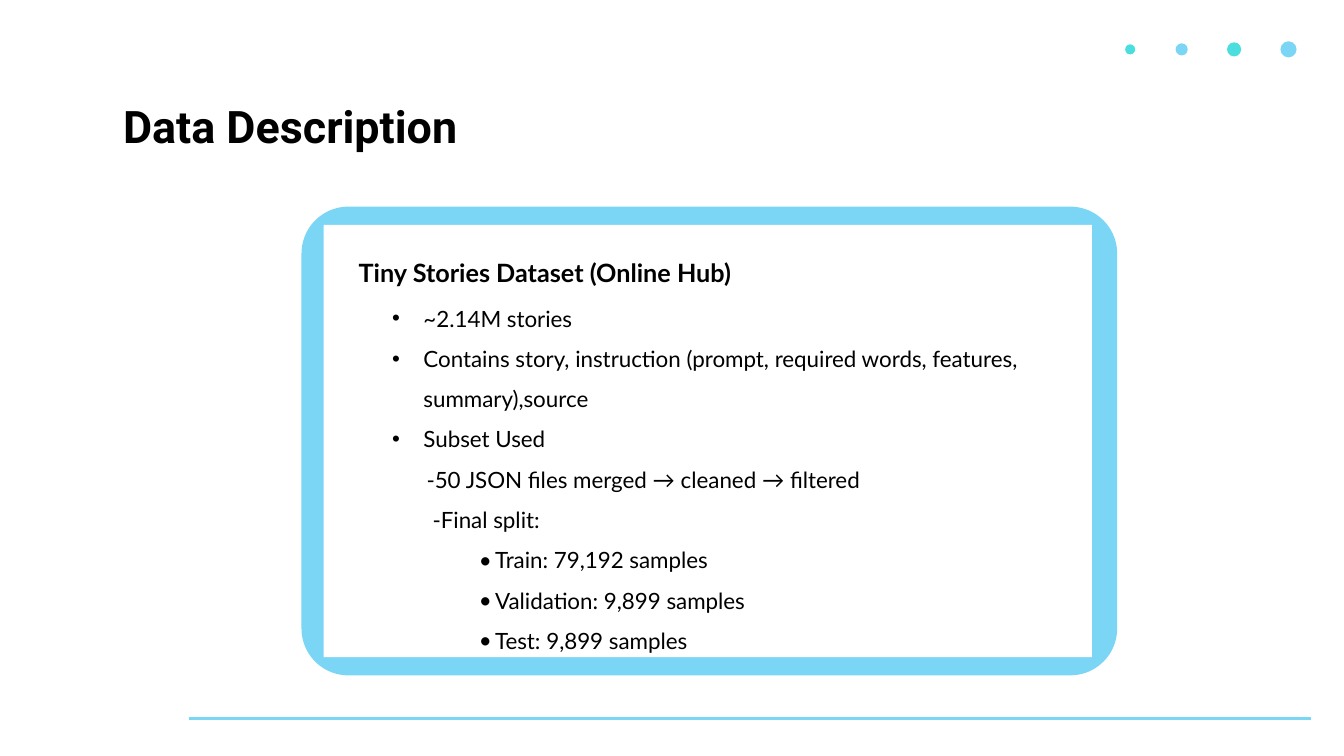
from dataclasses import dataclass

import pptx
import pptx.dml.color
import pptx.enum.shapes
import pptx.enum.text
import pptx.oxml
import pptx.oxml.ns
import pptx.util
from pptx.util import Inches

SHAPES = pptx.enum.shapes.MSO_SHAPE
TEXT = pptx.enum.text


@dataclass(frozen=True)
class Theme:
    sky: str = "7BD5F5"
    teal: str = "4ADEDE"
    paper: str = "FFFFFF"
    ink: str = "000000"
    title_font: str = "Roboto"
    body_font: str = "Lato"
    bullet_font: str = "Arial"
    title_size: int = 32
    heading_size: int = 18
    body_size: int = 16
    rule_width: float = 2


THEME = Theme()

# Text, left margin, first-line indent, bullet font (None for no bullet)
DETAILS = [
    ("~2.14M stories", 0.31, -0.31, THEME.bullet_font),
    ("Contains story, instruction (prompt, required words, features, summary),source",
     0.31, -0.31, THEME.bullet_font),
    ("Subset Used", 0.31, -0.31, THEME.bullet_font),
    ("-50 JSON files merged → cleaned → filtered", 0.34, 0, None),
    ("-Final split:", 0.4, 0, None),
    ("Train: 79,192 samples", 1.02, -0.16, THEME.body_font),
    ("Validation: 9,899 samples", 1.02, -0.16, THEME.body_font),
    ("Test: 9,899 samples", 1.02, -0.16, THEME.body_font),
]

# Centre x, diameter, colour
DOTS = [
    (11.21, 0.1, THEME.teal),
    (11.72, 0.12, THEME.sky),
    (12.24, 0.14, THEME.teal),
    (12.78, 0.16, THEME.sky),
]
DOT_CENTRE_Y = 0.49


def rgb(colour):
    return pptx.dml.color.RGBColor.from_string(colour)


def add_filled(slide, preset, left, top, width, height, colour):
    shape = slide.shapes.add_shape(
        preset, Inches(left), Inches(top), Inches(width), Inches(height))
    shape.shadow.inherit = False
    shape.fill.solid()
    shape.fill.fore_color.rgb = rgb(colour)
    shape.line.fill.background()
    return shape


def add_rule(slide, start, end, y):
    rule = slide.shapes.add_connector(
        pptx.enum.shapes.MSO_CONNECTOR.STRAIGHT,
        Inches(start), Inches(y), Inches(end), Inches(y))
    rule.line.color.rgb = rgb(THEME.sky)
    rule.line.width = pptx.util.Pt(THEME.rule_width)
    properties = rule._element.spPr
    properties.append(pptx.oxml.parse_xml(
        f"<a:effectLst {pptx.oxml.ns.nsdecls('a')}/>"))


def place(shape, left, top, width, height):
    position = {"left": left, "top": top, "width": width, "height": height}
    for name, value in position.items():
        setattr(shape, name, Inches(value))


def format_frame(frame, anchor):
    settings = {"word_wrap": True, "vertical_anchor": anchor,
                "auto_size": TEXT.MSO_AUTO_SIZE.NONE}
    for name, value in settings.items():
        setattr(frame, name, value)


def write(paragraph, text, font, size, bold=False, spacing=1.0):
    layout = {"alignment": TEXT.PP_ALIGN.LEFT, "line_spacing": spacing,
              "space_before": pptx.util.Pt(0)}
    for name, value in layout.items():
        setattr(paragraph, name, value)
    run = paragraph.add_run()
    run.text = text
    style = {"name": font, "size": pptx.util.Pt(size), "bold": bold}
    for name, value in style.items():
        setattr(run.font, name, value)
    run.font.color.rgb = rgb(THEME.ink)


def set_bullet(paragraph, margin, indent, bullet_font):
    """Set the paragraph's indents and its bullet, or switch the bullet off."""
    properties = paragraph._p.get_or_add_pPr()
    properties.set("marL", str(Inches(margin)))
    properties.set("indent", str(Inches(indent)))
    namespace = pptx.oxml.ns.nsdecls("a")
    if bullet_font:
        elements = [f'<a:buFont {namespace} typeface="{bullet_font}"/>',
                    f'<a:buChar {namespace} char="•"/>']
    else:
        elements = [f"<a:buNone {namespace}/>"]
    for element in elements:
        properties.append(pptx.oxml.parse_xml(element))


def add_title(slide, text):
    title = slide.shapes.title
    place(title, 1.12, 0.93, 4.33, 0.64)
    format_frame(title.text_frame, TEXT.MSO_ANCHOR.TOP)
    write(title.text_frame.paragraphs[0], text,
          THEME.title_font, THEME.title_size, bold=True)


def add_heading(slide, text):
    heading = slide.shapes.add_textbox(
        Inches(3.46), Inches(2.35), Inches(6.67), Inches(0.5))
    format_frame(heading.text_frame, TEXT.MSO_ANCHOR.TOP)
    write(heading.text_frame.paragraphs[0], text,
          THEME.body_font, THEME.heading_size, bold=True, spacing=1.5)


def add_details(slide):
    details = slide.placeholders[1]
    place(details, 3.79, 2.84, 6.67, 3.68)
    frame = details.text_frame
    format_frame(frame, TEXT.MSO_ANCHOR.TOP)
    for index, (text, margin, indent, bullet_font) in enumerate(DETAILS):
        paragraph = frame.add_paragraph() if index else frame.paragraphs[0]
        set_bullet(paragraph, margin, indent, bullet_font)
        write(paragraph, text, THEME.body_font, THEME.body_size, spacing=1.5)


def main():
    deck = pptx.Presentation()
    deck.slide_width, deck.slide_height = Inches(13.33), Inches(7.5)
    slide = deck.slides.add_slide(deck.slide_layouts[1])

    add_rule(slide, 1.87, 13, 7.13)
    for centre, size, colour in DOTS:
        add_filled(slide, SHAPES.OVAL, centre - size / 2,
                   DOT_CENTRE_Y - size / 2, size, size, colour)

    card = add_filled(slide, SHAPES.ROUNDED_RECTANGLE,
                      2.99, 2.05, 8.09, 4.65, THEME.sky)
    card.adjustments[0] = 0.1
    add_filled(slide, SHAPES.RECTANGLE, 3.21, 2.23, 7.62, 4.29, THEME.paper)

    add_title(slide, "Data Description")
    add_heading(slide, "Tiny Stories Dataset (Online Hub)")
    add_details(slide)
    # Placeholders are created first, so bring the list in front of the card.
    slide.shapes._spTree.append(slide.placeholders[1]._element)

    deck.save("out.pptx")


if __name__ == "__main__":
    main()
